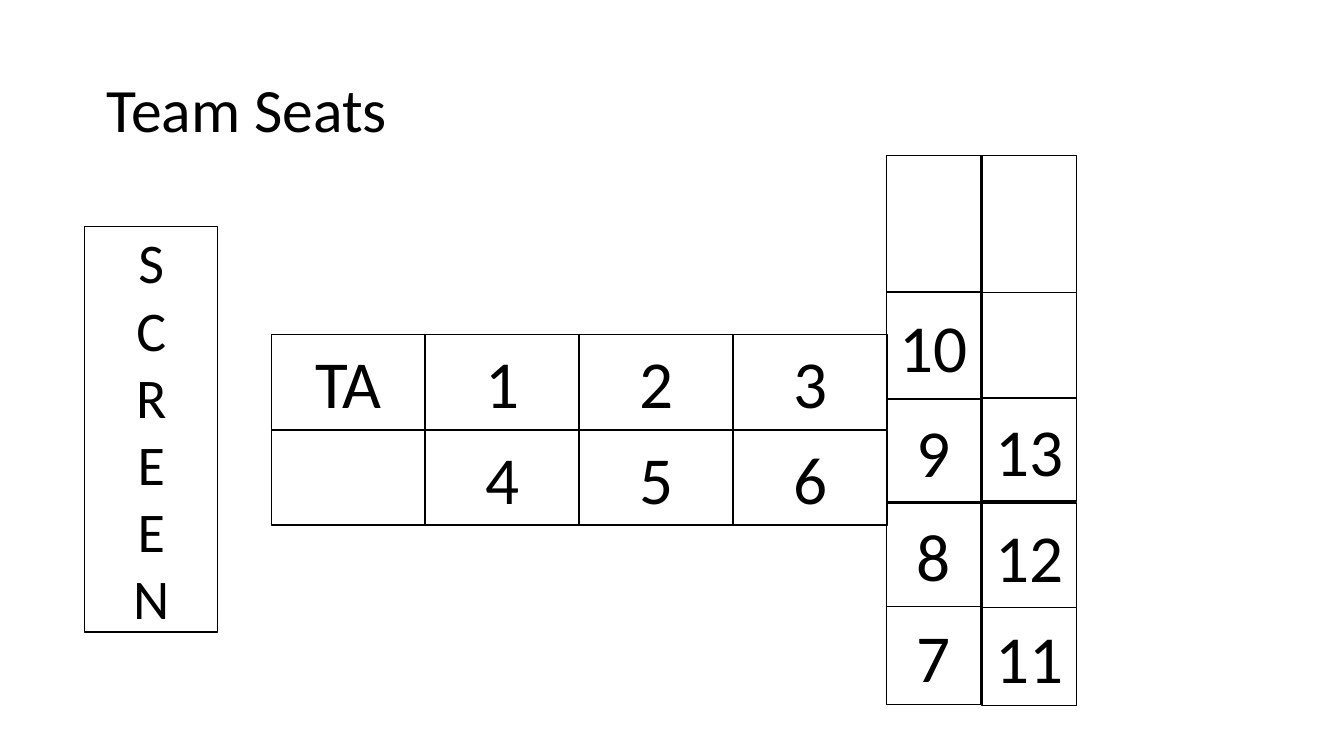
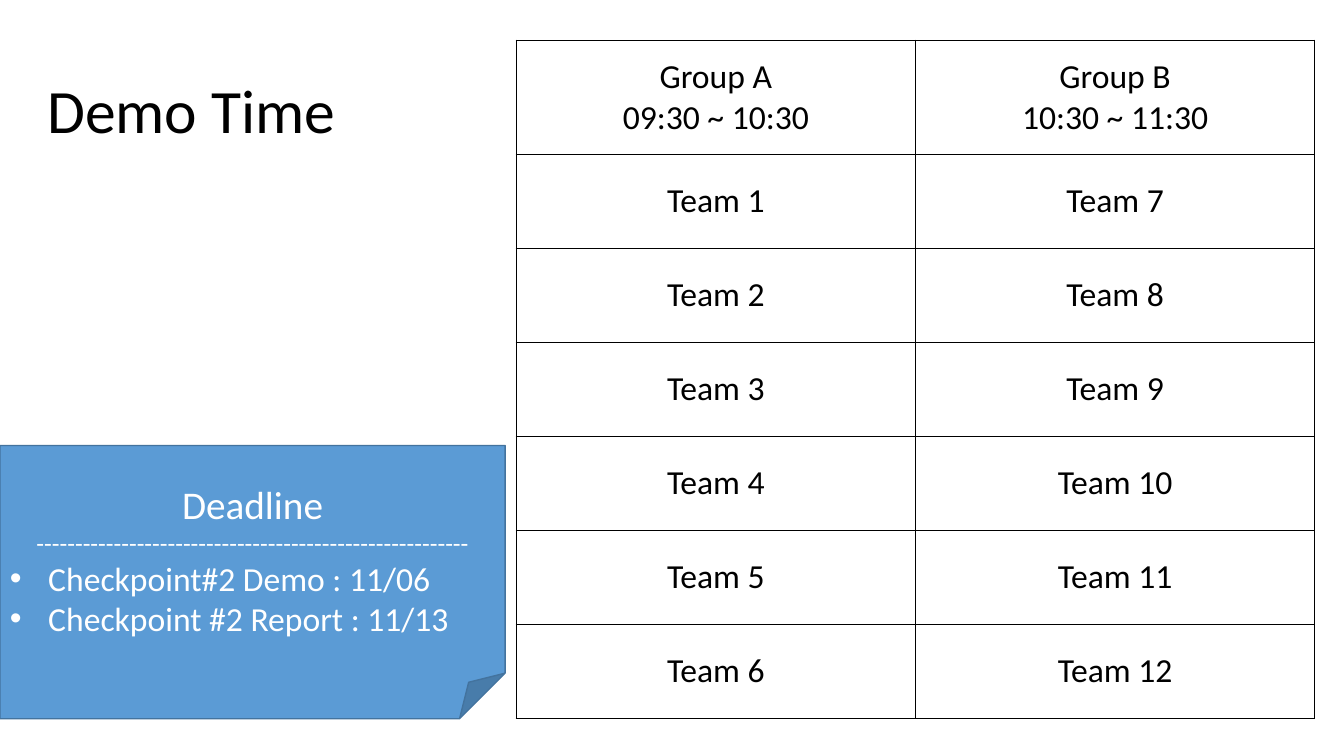
from pptx import Presentation
from pptx.dml.color import RGBColor
from pptx.enum.shapes import MSO_SHAPE as Shape
from pptx.enum.text import MSO_ANCHOR as Anchor, PP_ALIGN as Align
from pptx.oxml import parse_xml
from pptx.oxml.ns import nsdecls
from pptx.util import Inches, Pt

# Shared look
BLACK = RGBColor(0x00, 0x00, 0x00)
WHITE = RGBColor(0xFF, 0xFF, 0xFF)
BLUE = RGBColor(0x5B, 0x9B, 0xD5)
NAVY = RGBColor(0x43, 0x73, 0x9E)
FACE = "Calibri"
BLANK = 6

# Slide 1: left, then (top, height, label) of each seat
LONG = [["TA", "1", "2", "3"], ["", "4", "5", "6"]]
SIDE = [
    (8.79, [(1.54, 1.36, ""), (2.89, 1.07, "10"), (3.96, 1.03, "9"),
            (4.98, 1.04, "8"), (6.02, 0.97, "7")]),
    (9.74, [(1.54, 1.36, ""), (2.9, 1.05, ""), (3.95, 1.02, "13"),
            (4.99, 1.04, "12"), (6.03, 0.97, "11")]),
]

# Slide 2
HEADS = ["Group A\n09:30 ~ 10:30", "Group B\n10:30 ~ 11:30"]
TEAMS = 6


def apply(item, form):
    """Set each attribute named in a dict of format values."""
    for name, value in form.items():
        setattr(item, name, value)


def write(frame, lines, size, color=BLACK, **form):
    """Fill a text frame with one paragraph per line."""
    frame.text = "\n".join(lines)
    for par in frame.paragraphs:
        apply(par, form)
        for run in par.runs:
            apply(run.font, {"name": FACE, "size": Pt(size), "bold": False})
            run.font.color.rgb = color


def add_title(slide, text, left, top):
    box = slide.shapes.add_textbox(
        Inches(left), Inches(top), Inches(11.5), Inches(1.45))
    apply(box.text_frame,
          {"word_wrap": True, "vertical_anchor": Anchor.MIDDLE})
    write(box.text_frame, [text], 44, line_spacing=0.9)


def add_box(slide, kind, area, line=BLACK, fill=None):
    box = slide.shapes.add_shape(kind, *map(Inches, area))
    box.shadow.inherit = False
    if fill is None:
        box.fill.background()
    else:
        box.fill.solid()
        box.fill.fore_color.rgb = fill
    box.line.color.rgb = line
    box.line.width = Pt(1)
    apply(box.text_frame,
          {"word_wrap": True, "vertical_anchor": Anchor.MIDDLE})
    return box


def add_seat(slide, area, lines, size=48):
    box = add_box(slide, Shape.RECTANGLE, area)
    if any(lines):
        write(box.text_frame, lines, size, alignment=Align.CENTER)


def add_bullet(par):
    props = par._p.get_or_add_pPr()
    indent = Inches(0.38)
    props.set("marL", str(indent))
    props.set("indent", str(-indent))
    for tag in ('buFont %s typeface="Arial"', 'buChar %s char="\u2022"'):
        props.append(parse_xml(f"<a:{tag % nsdecls('a')}/>"))


def add_border(cell):
    props = cell._tc.get_or_add_tcPr()
    for side in "LRTB":
        props.append(parse_xml(
            f'<a:ln{side} {nsdecls("a")} w="{Pt(1)}"><a:solidFill>'
            f'<a:srgbClr val="{BLACK}"/></a:solidFill></a:ln{side}>'))


def add_grid(slide, rows, area, head):
    """Draw a plain ruled table whose first row has its own height."""
    frame = slide.shapes.add_table(
        len(rows), len(rows[0]), *map(Inches, area))
    table = frame.table
    apply(table, {"first_row": False, "horz_banding": False})
    rest = (area[3] - head) / (len(rows) - 1)
    for r, row in enumerate(rows):
        table.rows[r].height = Inches(rest if r else head)
        for c, text in enumerate(row):
            cell = table.cell(r, c)
            add_border(cell)
            cell.fill.background()
            cell.vertical_anchor = Anchor.MIDDLE
            write(cell.text_frame, text.split("\n"), 24,
                  alignment=Align.CENTER)


def add_note(slide, area, head, items):
    """Draw a folded note with a heading, a dashed rule and bullets."""
    box = add_box(slide, Shape.FOLDED_CORNER, area, NAVY, BLUE)
    frame = box.text_frame
    write(frame, [head, "-" * 56, *items], 24, WHITE, alignment=Align.LEFT)
    for par, size in zip(frame.paragraphs, (28, 18)):
        par.alignment = Align.CENTER
        par.runs[0].font.size = Pt(size)
    for par in frame.paragraphs[2:]:
        add_bullet(par)


def draw_seats(slide):
    add_title(slide, "Team Seats", 0.96, 0.39)
    # Long table
    for r, row in enumerate(LONG):
        for c, name in enumerate(row):
            area = (2.69 + 1.527 * c, 3.32 + 0.95 * r, 1.53, 0.94)
            add_seat(slide, area, [name])
    # Side table
    for left, seats in SIDE:
        for top, height, name in seats:
            add_seat(slide, (left, top, 0.94, height), [name])
    add_seat(slide, (0.84, 2.25, 1.32, 4.02), list("SCREEN"), 40)


def draw_times(slide):
    add_title(slide, "Demo Time", 0.37, 0.4)
    rows = [HEADS] + [[f"Team {n}", f"Team {n + TEAMS}"]
                      for n in range(1, TEAMS + 1)]
    add_grid(slide, rows, (5.12, 0.4, 7.92, 6.73), 1.13)
    add_note(slide, (0, 4.42, 5.01, 2.71), "Deadline",
             ["Checkpoint#2 Demo : 11/06", "Checkpoint #2 Report : 11/13"])


def main():
    deck = Presentation()
    apply(deck, {"slide_width": Inches(13.33), "slide_height": Inches(7.5)})
    for draw in (draw_seats, draw_times):
        draw(deck.slides.add_slide(deck.slide_layouts[BLANK]))
    deck.save("out.pptx")


main()
